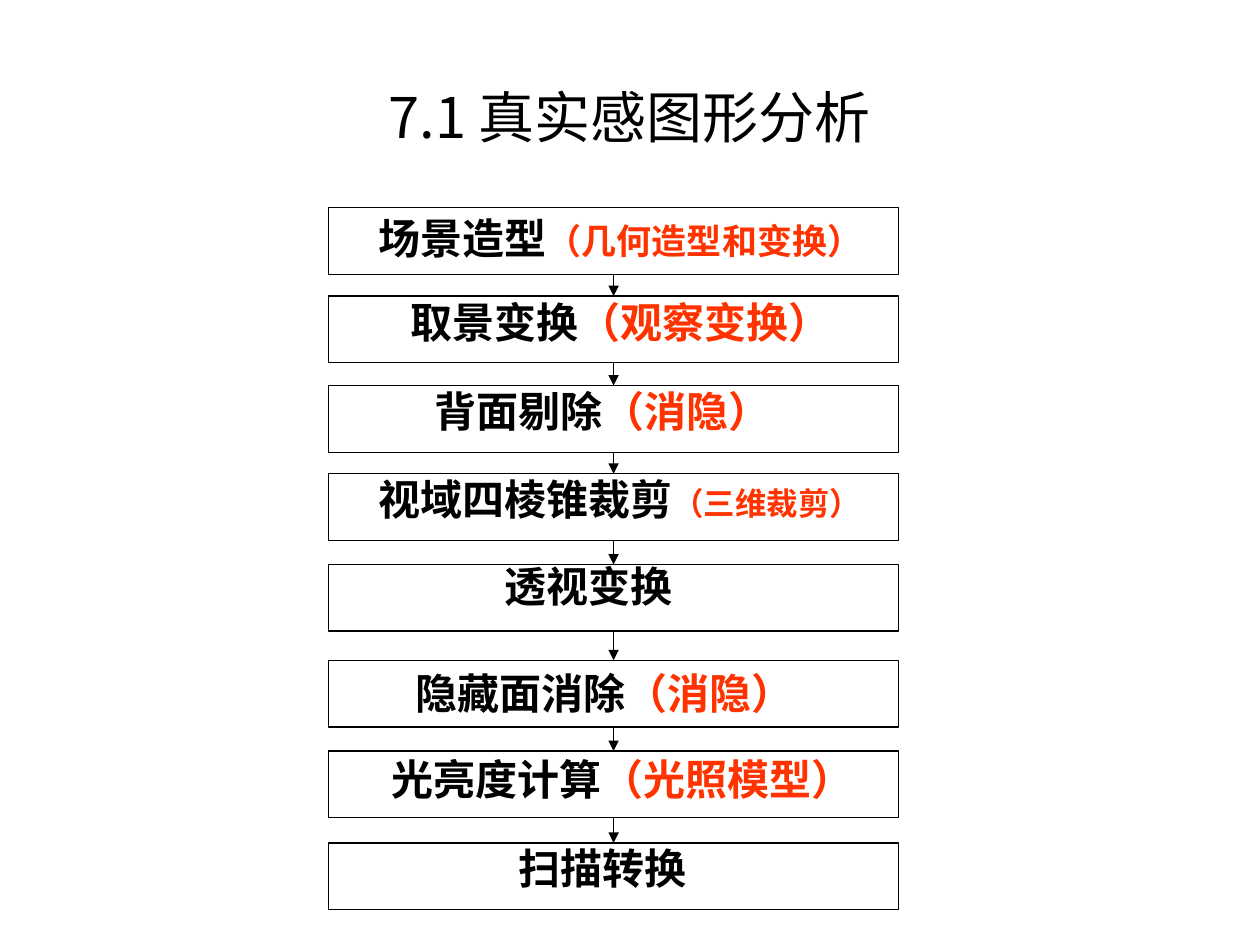
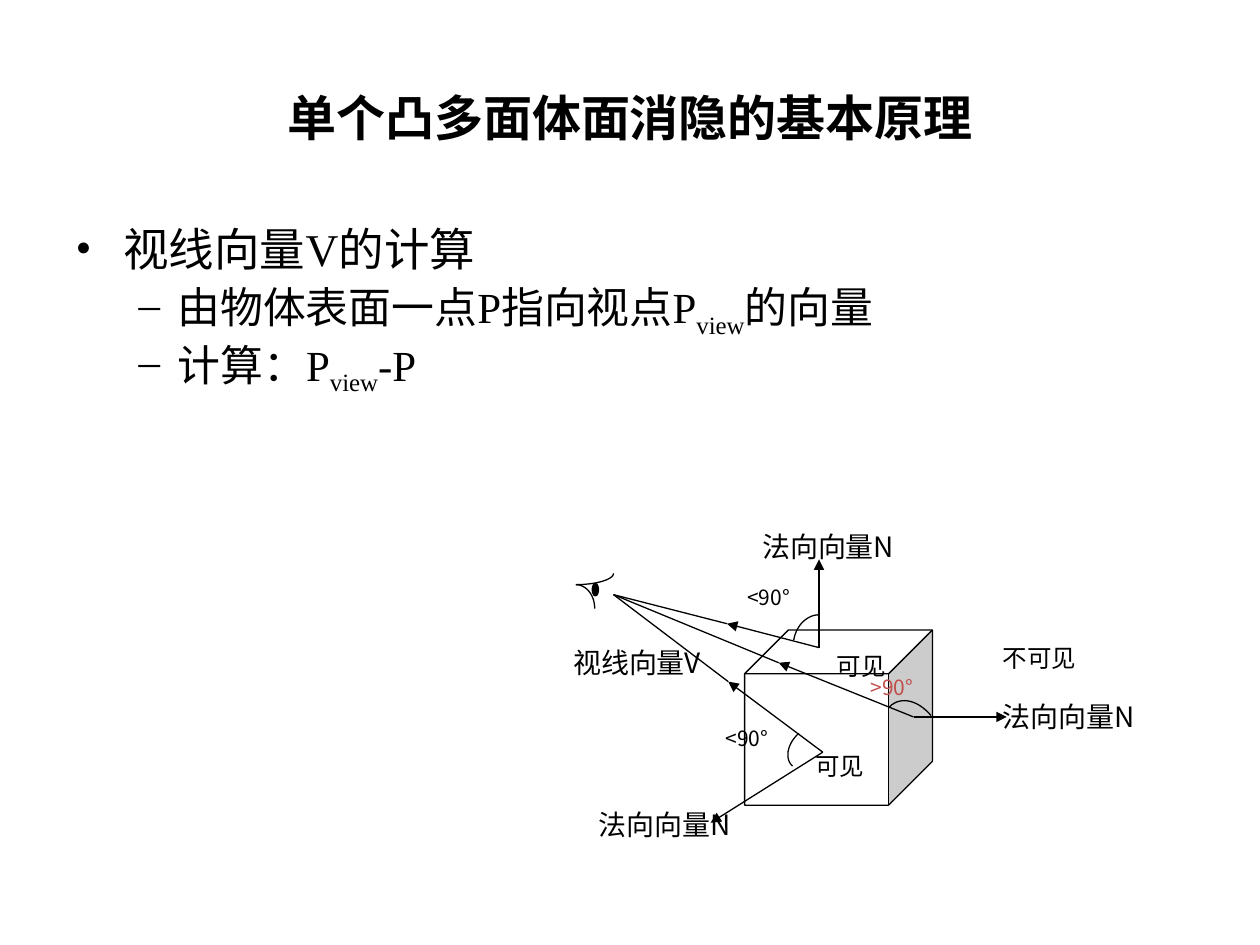
from dataclasses import dataclass
from itertools import pairwise

from lxml import etree
from pptx import Presentation
from pptx.dml.color import RGBColor
from pptx.enum.shapes import MSO_CONNECTOR, MSO_SHAPE
from pptx.enum.text import MSO_ANCHOR, PP_ALIGN
from pptx.oxml.ns import qn
from pptx.util import Emu, Pt

PX = 9144
SLIDE_WIDTH, SLIDE_HEIGHT = 1000, 750
BLACK, WHITE, ORANGE, RED = "000000", "FFFFFF", "FF3300", "C0504D"
SANS, SERIF = "Noto Sans CJK SC", "Times New Roman"
LINE_WIDTH = Pt(0.75)
STRAIGHT = MSO_CONNECTOR.STRAIGHT
RECTANGLE, CUBE, OVAL = MSO_SHAPE.RECTANGLE, MSO_SHAPE.CUBE, MSO_SHAPE.OVAL
CENTER, LEFT = PP_ALIGN.CENTER, PP_ALIGN.LEFT
TOP, MIDDLE = MSO_ANCHOR.TOP, MSO_ANCHOR.MIDDLE
TOP_SITE, BOTTOM_SITE = 0, 2
CURVE_STEPS = 16
SUBSCRIPT = "-25000"
FRAME_FORMAT = {"word_wrap": True, "margin_left": 0, "margin_right": 0,
                "margin_top": 0, "margin_bottom": 0}

Point = tuple[int, int]
Box = tuple[int, int, int, int]


@dataclass(frozen=True)
class TextRun:
    text: str
    size: float
    color: str = BLACK
    bold: bool = False
    font: str = SANS
    subscript: bool = False


@dataclass(frozen=True)
class Stage:
    top: int
    text_box: Box
    name: str
    note: str = ""
    note_size: int = 24


@dataclass(frozen=True)
class Bullet:
    symbol: str
    indent: int
    hanging: int
    size: float
    phrases: tuple[str, ...]


@dataclass(frozen=True)
class Label:
    text: str
    left: int
    top: int
    size: int
    color: str = BLACK


@dataclass(frozen=True)
class Sightline:
    surface_point: Point
    arrow_tip: Point
    normal_tip: Point


STAGE_LEFT, STAGE_WIDTH, STAGE_HEIGHT = 261, 452, 53
STAGES = [
    Stage(165, (280, 169, 425, 55), "场景造型", "（几何造型和变换）", 20),
    Stage(235, (272, 235, 441, 61), "取景变换", "（观察变换）"),
    Stage(306, (283, 306, 390, 62), "背面剔除", "（消隐）"),
    Stage(376, (280, 376, 424, 46), "视域四棱锥裁剪", "（三维裁剪）", 18),
    Stage(448, (272, 445, 390, 55), "透视变换"),
    Stage(524, (295, 530, 370, 59), "隐藏面消除", "（消隐）"),
    Stage(596, (300, 598, 388, 57), "光亮度计算", "（光照模型）"),
    Stage(669, (283, 669, 390, 53), "扫描转换"),
]

BULLETS = [
    Bullet("•", 38, 38, 26, ("视线向量V的计算",)),
    Bullet("–", 81, 31, 24.5, ("由物体表面一点P指向视点P", "view", "的向量")),
    Bullet("–", 81, 31, 24.5, ("计算：P", "view", "-P")),
]

EYE_POINT = (487, 472)
SIGHTLINES = [
    Sightline((650, 514), (577, 495), (650, 444)),
    Sightline((725, 569), (618, 526), (799, 569)),
    Sightline((653, 597), (578, 541), (564, 653)),
]
CURVES = [
    [(650, 488), (641, 488), (632, 496), (630, 508)],
    [(634, 582), (624, 591), (623, 603), (629, 608)],
    [(706, 561), (715, 552), (729, 556), (739, 568)],
    [(457, 464), (465, 464), (472, 472), (472, 483)],
    [(457, 464), (473, 464), (487, 460), (487, 455)],
]
LABELS = [
    Label("法向向量N", 605, 420, 16),
    Label("法向向量N", 796, 555, 16),
    Label("法向向量N", 475, 641, 16),
    Label("视线向量V", 455, 512, 16),
    Label("<90°", 593, 464, 12),
    Label("<90°", 576, 576, 12),
    Label(">90°", 691, 535, 12, RED),
    Label("可见", 647, 596, 14),
    Label("可见", 664, 517, 14),
    Label("不可见", 796, 510, 14),
]


def emu(*lengths: float) -> list[Emu]:
    return [Emu(round(length * PX)) for length in lengths]


def color_of(hex_color: str) -> RGBColor:
    return RGBColor.from_string(hex_color)


def apply_format(target, values: dict) -> None:
    for name, value in values.items():
        setattr(target, name, value)


def outline(shape) -> None:
    shape.line.color.rgb = color_of(BLACK)
    shape.line.width = LINE_WIDTH


def add_runs(paragraph, runs: list[TextRun]) -> None:
    for item in runs:
        run = paragraph.add_run()
        run.text = item.text
        apply_format(run.font, {"size": Pt(item.size), "bold": item.bold, "name": item.font})
        run.font.color.rgb = color_of(item.color)
        properties = run._r.get_or_add_rPr()
        latin = properties.find(qn("a:latin"))
        east_asian = etree.Element(qn("a:ea"), typeface=SANS)
        latin.addnext(east_asian)
        if item.subscript:
            properties.set("baseline", SUBSCRIPT)


def add_frame(slide, box: Box, anchor=TOP):
    frame = slide.shapes.add_textbox(*emu(*box)).text_frame
    apply_format(frame, FRAME_FORMAT)
    frame.vertical_anchor = anchor
    return frame


def add_text(slide, box: Box, runs: list[TextRun], align=LEFT, anchor=TOP) -> None:
    paragraph = add_frame(slide, box, anchor).paragraphs[0]
    paragraph.alignment = align
    add_runs(paragraph, runs)


def add_title(slide, title: TextRun) -> None:
    add_text(slide, (50, 30, 900, 125), [title], CENTER, MIDDLE)


def add_solid(slide, kind, box: Box, fill: str):
    shape = slide.shapes.add_shape(kind, *emu(*box))
    shape.shadow.inherit = False
    shape.fill.solid()
    shape.fill.fore_color.rgb = color_of(fill)
    outline(shape)
    return shape


def add_line(slide, start: Point, end: Point, arrow: bool = True):
    connector = slide.shapes.add_connector(STRAIGHT, *emu(*start, *end))
    outline(connector)
    properties = connector._element.spPr
    if arrow:
        etree.SubElement(properties.find(qn("a:ln")), qn("a:tailEnd"), type="triangle")
    etree.SubElement(properties, qn("a:effectLst"))
    return connector


def curve_point(controls: list[Point], t: float) -> list[Emu]:
    weights = ((1 - t) ** 3, 3 * t * (1 - t) ** 2, 3 * t**2 * (1 - t), t**3)
    return emu(*(sum(w * value for w, value in zip(weights, axis)) for axis in zip(*controls)))


def add_curve(slide, controls: list[Point]) -> None:
    points = [curve_point(controls, step / CURVE_STEPS) for step in range(CURVE_STEPS + 1)]
    builder = slide.shapes.build_freeform(*points[0])
    builder.add_line_segments(points[1:], close=False)
    shape = builder.convert_to_shape()
    shape.shadow.inherit = False
    shape.fill.background()
    outline(shape)


def add_bullets(slide, bullets: list[Bullet]) -> None:
    frame = add_frame(slide, (60, 180, 880, 485))
    for index, bullet in enumerate(bullets):
        paragraph = frame.add_paragraph() if index else frame.paragraphs[0]
        apply_format(paragraph, {"line_spacing": 0.9, "space_before": Pt(3)})
        indent, hanging = emu(bullet.indent, bullet.hanging)
        properties = paragraph._p.get_or_add_pPr()
        properties.set("marL", str(indent))
        properties.set("indent", str(-hanging))
        etree.SubElement(properties, qn("a:buFont"), typeface=SERIF)
        etree.SubElement(properties, qn("a:buChar"), char=bullet.symbol)
        add_runs(paragraph, [TextRun(phrase, bullet.size, font=SERIF, subscript=phrase == "view")
                             for phrase in bullet.phrases])


def build_pipeline_slide(slide) -> None:
    rectangles = []
    for stage in STAGES:
        box = (STAGE_LEFT, stage.top, STAGE_WIDTH, STAGE_HEIGHT)
        rectangles.append(add_solid(slide, RECTANGLE, box, WHITE))
        runs = [TextRun(stage.name, 24, bold=True)]
        if stage.note:
            runs.append(TextRun(stage.note, stage.note_size, ORANGE, True))
        add_text(slide, stage.text_box, runs, CENTER)
    middle = STAGE_LEFT + STAGE_WIDTH // 2
    for (upper, lower), (stage, following) in zip(pairwise(rectangles), pairwise(STAGES)):
        arrow = add_line(slide, (middle, stage.top + STAGE_HEIGHT), (middle, following.top))
        arrow.begin_connect(upper, BOTTOM_SITE)
        arrow.end_connect(lower, TOP_SITE)
    add_title(slide, TextRun("7.1 真实感图形分析", 32))


def build_visibility_slide(slide) -> None:
    add_bullets(slide, BULLETS)
    add_title(slide, TextRun("单个凸多面体面消隐的基本原理", 28, bold=True, font=SERIF))
    cube = add_solid(slide, CUBE, (591, 500, 149, 139), WHITE)
    cube.adjustments[0] = 0.25
    for sightline in SIGHTLINES:
        add_line(slide, sightline.surface_point, sightline.normal_tip)
        add_line(slide, sightline.surface_point, sightline.arrow_tip)
        add_line(slide, sightline.arrow_tip, EYE_POINT, arrow=False)
    for controls in CURVES:
        add_curve(slide, controls)
    add_solid(slide, OVAL, (470, 463, 5, 10), BLACK)
    for label in LABELS:
        add_text(slide, (label.left, label.top, 130, 2 * label.size),
                 [TextRun(label.text, label.size, label.color)])


def main() -> None:
    presentation = Presentation()
    presentation.slide_width, presentation.slide_height = emu(SLIDE_WIDTH, SLIDE_HEIGHT)
    blank = presentation.slide_layouts[6]
    for build in (build_pipeline_slide, build_visibility_slide):
        build(presentation.slides.add_slide(blank))
    presentation.save("out.pptx")


if __name__ == "__main__":
    main()
